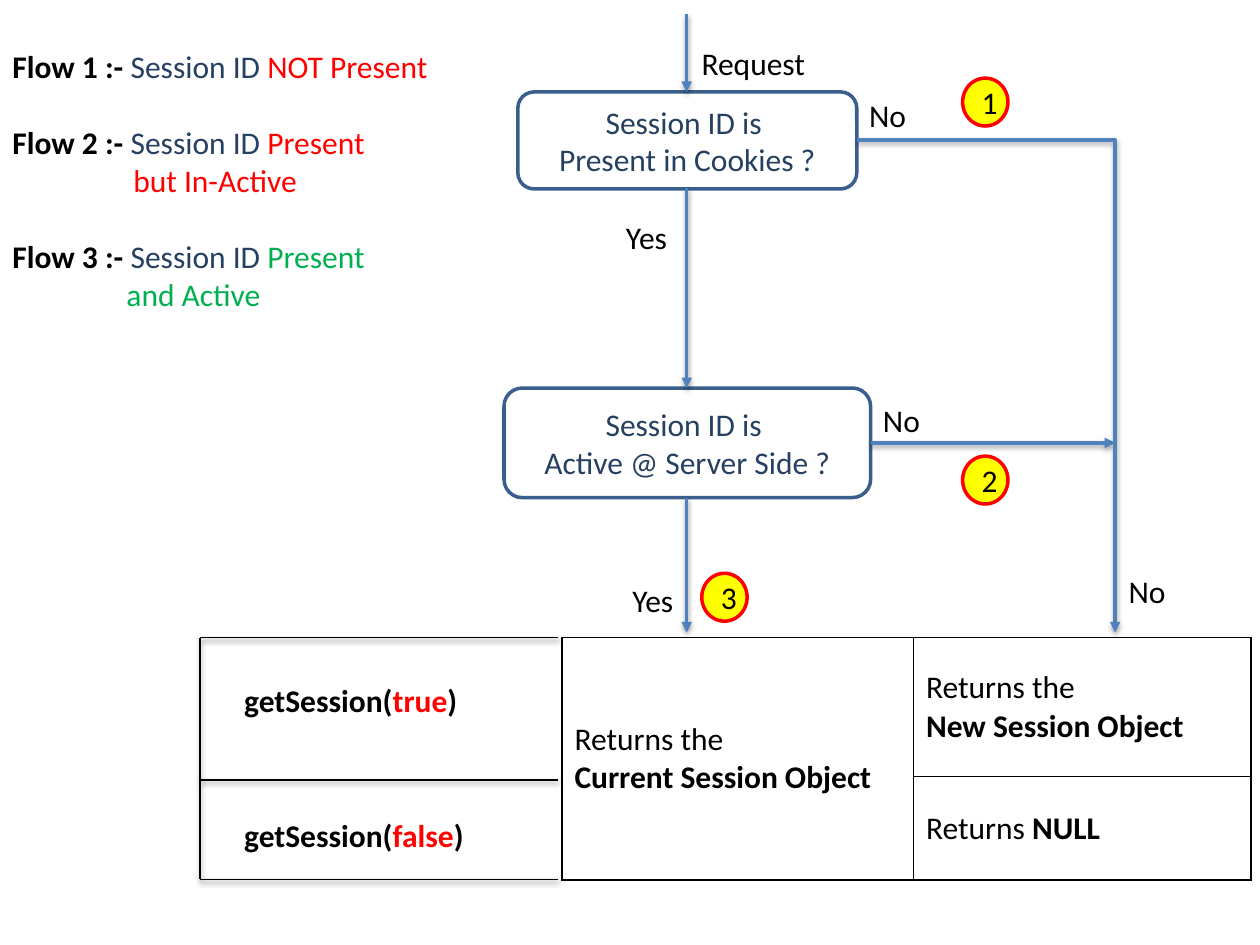
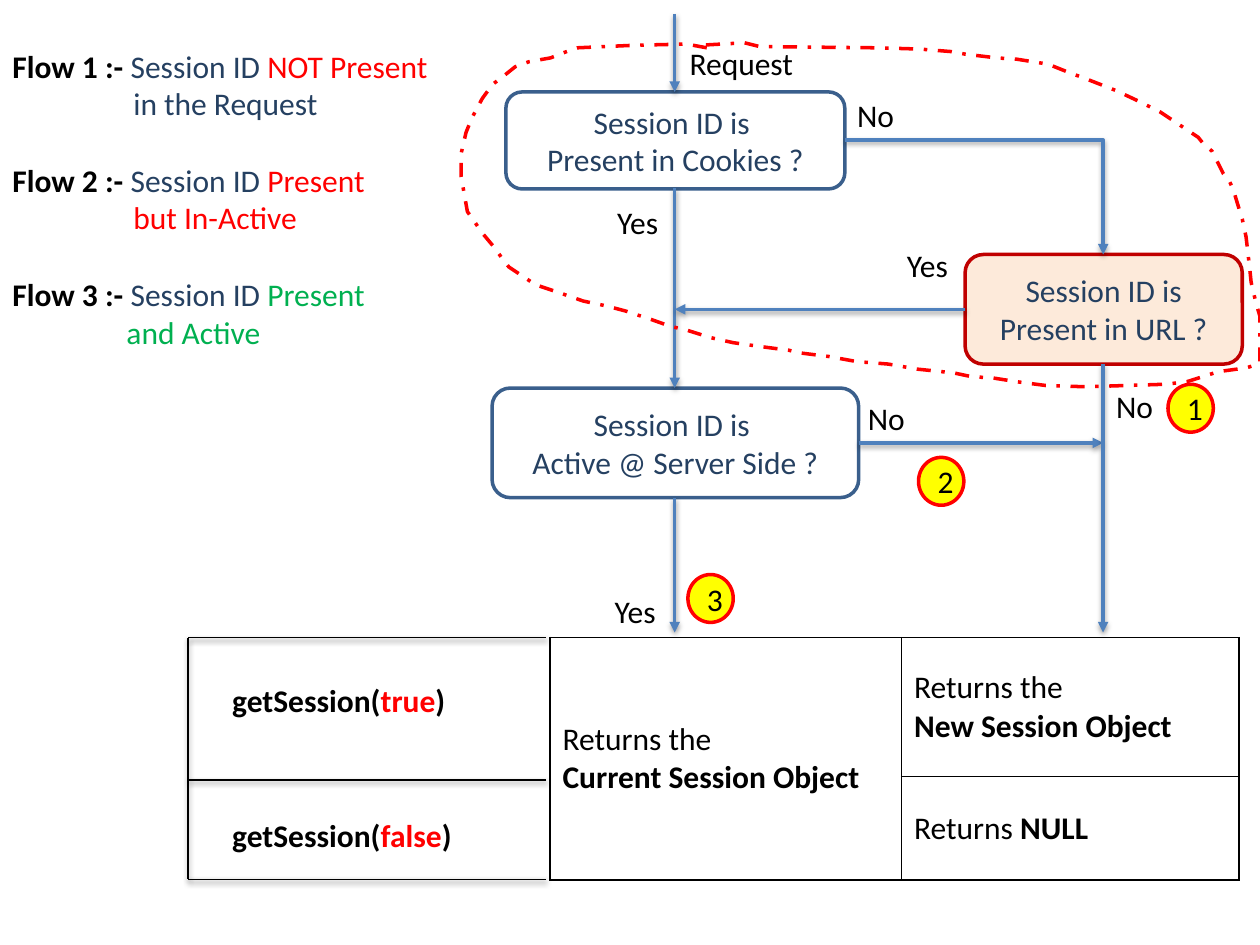
from typing import NamedTuple

from lxml import etree
from pptx import Presentation
from pptx.dml.color import RGBColor
from pptx.enum.dml import MSO_LINE
from pptx.enum.shapes import MSO_CONNECTOR, MSO_SHAPE
from pptx.enum.text import MSO_ANCHOR, MSO_AUTO_SIZE, PP_ALIGN
from pptx.oxml.ns import qn
from pptx.util import Emu, Inches, Pt

# Colours
BLACK = RGBColor(0x00, 0x00, 0x00)
NAVY = RGBColor(0x25, 0x40, 0x61)
RED = RGBColor(0xFF, 0x00, 0x00)
GREEN = RGBColor(0x00, 0xB0, 0x50)
YELLOW = RGBColor(0xFF, 0xFF, 0x00)
ARROW_BLUE = RGBColor(0x4F, 0x81, 0xBD)
BOX_BLUE = RGBColor(0x3A, 0x5F, 0x8C)
DARK_RED = RGBColor(0xC0, 0x00, 0x00)
PEACH = RGBColor(0xFD, 0xEA, 0xDA)

# Enum members
ROUNDED, CIRCLE = MSO_SHAPE.ROUNDED_RECTANGLE, MSO_SHAPE.FLOWCHART_CONNECTOR
STRAIGHT, ELBOW = MSO_CONNECTOR.STRAIGHT, MSO_CONNECTOR.ELBOW
LEFT, CENTER, MIDDLE = PP_ALIGN.LEFT, PP_ALIGN.CENTER, MSO_ANCHOR.MIDDLE
FIT, DASH_DOT = MSO_AUTO_SIZE.SHAPE_TO_FIT_TEXT, MSO_LINE.DASH_DOT

# Grid: 100 columns by 75 rows
WIDTH, HEIGHT = Inches(10), Inches(7.5)
COL, ROW = WIDTH / 100, HEIGHT / 75
FONT, SIZE, LINE_GAP = "Calibri", Pt(18), Pt(22)
LABEL_WIDTHS = {"Request": 10.3, "Yes": 5.3, "No": 5}
LABEL_ROWS = 4

# Columns and rows of the flow chart
MAIN_X, SIDE_X = 54.5, 88.5
COOKIE_TOP, COOKIE_BOTTOM, COOKIE_MID = 7.3, 14.95, 11.1
ACTIVE_TOP, ACTIVE_BOTTOM, ACTIVE_MID = 30.8, 39.5, 35.15
ARROW_END = 50.2
RULE_LEFT, RULE_RIGHT = 15.9, 44.3
RULE_ROWS = (50.6, 61.9, 69.8)


class Run(NamedTuple):
    text: str
    color: RGBColor = BLACK
    bold: bool = False


class Para(NamedTuple):
    runs: list[Run]
    indent: float = 0
    gap: bool = False


class Box(NamedTuple):
    x: float
    y: float
    w: float
    h: float
    lines: list[str]
    line: RGBColor = BOX_BLUE
    fill: RGBColor | None = None


class Label(NamedTuple):
    x: float
    y: float
    text: str


class Arrow(NamedTuple):
    x1: float
    y1: float
    x2: float
    y2: float
    bent: bool = False


class Flow(NamedTuple):
    shift: float
    boxes: list[Box]
    arrows: list[Arrow]
    labels: list[Label]
    badges: list[Label]
    legend: list[Para]


def cols(n: float) -> Emu:
    return Emu(round(n * COL))


def rows(n: float) -> Emu:
    return Emu(round(n * ROW))


def write(tf, paras: list[Para], align=LEFT) -> None:
    for i, para in enumerate(paras):
        p = tf.paragraphs[0] if i == 0 else tf.add_paragraph()
        p.alignment = align
        if para.indent:
            p._p.get_or_add_pPr().set("marL", str(cols(para.indent)))
        if para.gap:
            p.space_before = LINE_GAP
        for run in para.runs:
            r = p.add_run()
            r.text = run.text
            r.font.name, r.font.size = FONT, SIZE
            r.font.bold, r.font.color.rgb = run.bold, run.color


def add_text(s, x: float, y: float, w: float, h: float,
             paras: list[Para], wrap: bool = False) -> None:
    tf = s.shapes.add_textbox(cols(x), rows(y), cols(w), rows(h)).text_frame
    tf.word_wrap, tf.auto_size = wrap, FIT
    write(tf, paras)


def add_label(s, label: Label) -> None:
    add_text(s, label.x, label.y, LABEL_WIDTHS[label.text], LABEL_ROWS,
             [Para([Run(label.text)])])


def add_node(s, kind, box: Box, color: RGBColor) -> None:
    sp = s.shapes.add_shape(kind, cols(box.x), rows(box.y), cols(box.w), rows(box.h))
    sp.shadow.inherit = False
    if box.fill is None:
        sp.fill.background()
    else:
        sp.fill.solid()
        sp.fill.fore_color.rgb = box.fill
    sp.line.color.rgb, sp.line.width = box.line, Pt(2)
    sp.text_frame.vertical_anchor = MIDDLE
    write(sp.text_frame, [Para([Run(t, color)]) for t in box.lines], CENTER)


def add_badge(s, badge: Label) -> None:
    add_node(s, CIRCLE, Box(badge.x, badge.y, 3.6, 3.8, [badge.text], RED, YELLOW), BLACK)


def add_line(s, a: Arrow, color: RGBColor, width: float, head: bool) -> None:
    c = s.shapes.add_connector(ELBOW if a.bent else STRAIGHT,
                               cols(a.x1), rows(a.y1), cols(a.x2), rows(a.y2))
    c.line.color.rgb, c.line.width = color, Pt(width)
    sppr = c._element.spPr
    if a.bent:
        sppr.find(qn("a:prstGeom")).set("prst", "bentConnector2")
    if head:
        etree.SubElement(sppr.find(qn("a:ln")), qn("a:tailEnd"), type="triangle")
    # Soft shadow below the line
    effects = etree.SubElement(sppr, qn("a:effectLst"))
    shadow = etree.SubElement(effects, qn("a:outerShdw"), blurRad=str(Pt(3.1)),
                              dist=str(Pt(1.6)), dir="5400000", rotWithShape="0")
    tint = etree.SubElement(shadow, qn("a:srgbClr"), val=str(BLACK))
    etree.SubElement(tint, qn("a:alpha"), val="38000")


def add_results(s, x: float) -> None:
    tbl = s.shapes.add_table(2, 2, cols(x), rows(RULE_ROWS[0]), cols(54.6), rows(19.3)).table
    tbl.first_row = tbl.horz_banding = False
    tbl.columns[0].width, tbl.columns[1].width = cols(27.9), cols(26.8)
    tbl.rows[0].height, tbl.rows[1].height = rows(11.05), rows(8.2)
    tbl.cell(0, 0).merge(tbl.cell(1, 0))
    for cell in tbl.iter_cells():
        for side in ("lnL", "lnR", "lnT", "lnB"):
            ln = etree.SubElement(cell._tc.get_or_add_tcPr(), qn(f"a:{side}"), w=str(Pt(1)))
            fill = etree.SubElement(ln, qn("a:solidFill"))
            etree.SubElement(fill, qn("a:srgbClr"), val=str(BLACK))
        cell.fill.background()
        cell.vertical_anchor = MIDDLE
    intro = Para([Run("Returns the")])
    write(tbl.cell(0, 0).text_frame, [intro, Para([Run("Current Session Object", bold=True)])])
    write(tbl.cell(0, 1).text_frame, [intro, Para([Run("New Session Object", bold=True)])])
    write(tbl.cell(1, 1).text_frame, [Para([Run("Returns "), Run("NULL", bold=True)])])


def add_calls(s, dx: float) -> None:
    left, right = RULE_LEFT + dx, RULE_RIGHT + dx
    rules = [Arrow(left, y, right, y) for y in RULE_ROWS]
    rules.append(Arrow(left, RULE_ROWS[0], left, RULE_ROWS[-1]))
    for rule in rules:
        add_line(s, rule, BLACK, 1, head=False)
    for y, w, value in ((53.6, 22.3, "true"), (64.3, 19.6, "false")):
        runs = [Run("getSession(", bold=True), Run(value, RED, True), Run(")", bold=True)]
        add_text(s, 18.4 + dx, y, w, LABEL_ROWS, [Para(runs)])


def flow_line(number: int, state: str, color: RGBColor) -> Para:
    return Para([Run(f"Flow {number} :- ", bold=True), Run("Session ID ", NAVY),
                 Run(state, color)], gap=number > 1)


def add_outline(s) -> None:
    fb = s.shapes.build_freeform(*OUTLINE[0], scale=COL / 10)
    fb.add_line_segments(OUTLINE[1:], close=False)
    sp = fb.convert_to_shape()
    sp.shadow.inherit = False
    sp.fill.background()
    sp.line.color.rgb, sp.line.width = RED, Pt(2)
    sp.line.dash_style = DASH_DOT


def draw_flow(s, flow: Flow) -> None:
    dx = flow.shift
    # Decisions
    for box in SHARED_BOXES:
        add_node(s, ROUNDED, box._replace(x=box.x + dx), NAVY)
    for box in flow.boxes:
        add_node(s, ROUNDED, box, NAVY)
    # Results
    add_results(s, 44.6 + dx)
    add_calls(s, dx)
    # Arrows
    for a in SHARED_ARROWS + flow.arrows:
        add_line(s, a._replace(x1=a.x1 + dx, x2=a.x2 + dx), ARROW_BLUE, 2, head=True)
    # Labels, legend and flow numbers
    for label in SHARED_LABELS:
        add_label(s, label._replace(x=label.x + dx))
    for label in flow.labels:
        add_label(s, label)
    add_text(s, 0, 3.2, 36.1, 22.2, flow.legend, wrap=True)
    for badge in flow.badges:
        add_badge(s, badge)


# Content of both slides
SHARED_BOXES = [
    Box(41.1, COOKIE_TOP, 26.9, 7.7, ["Session ID is ", "Present in Cookies ?"]),
    Box(40, ACTIVE_TOP, 29.1, 8.7, ["Session ID is ", "Active @ Server Side ?"]),
]
SHARED_ARROWS = [
    Arrow(MAIN_X, 1.1, MAIN_X, COOKIE_TOP),
    Arrow(MAIN_X, COOKIE_BOTTOM, MAIN_X, ACTIVE_TOP),
    Arrow(MAIN_X, ACTIVE_BOTTOM, MAIN_X, ARROW_END),
    Arrow(69.1, ACTIVE_MID, SIDE_X, ACTIVE_MID),
]
SHARED_LABELS = [Label(54.7, 3, "Request"), Label(68, 7.1, "No")]
FLOW_1 = flow_line(1, "NOT Present", RED)
LATER_FLOWS = [
    flow_line(2, "Present", RED), Para([Run("but In-Active", RED)], indent=9.6),
    flow_line(3, "Present", GREEN), Para([Run("and Active", GREEN)], indent=9.05),
]
COOKIES_ONLY = Flow(
    0, [],
    [Arrow(68, COOKIE_MID, SIDE_X, ARROW_END, bent=True)],
    [Label(48.7, 16.8, "Yes"), Label(49.2, 45.6, "Yes"),
     Label(88.6, 44.9, "No"), Label(69.1, 31.3, "No")],
    [Label(76.4, 6.2, "1"), Label(76.4, 36.2, "2"), Label(55.7, 45.5, "3")],
    [FLOW_1, *LATER_FLOWS])
WITH_URL = Flow(
    -0.95,
    [Box(76.6, 20.2, 22, 8.7, ["Session ID is Present in URL ?"], DARK_RED, PEACH)],
    [Arrow(68, COOKIE_MID, SIDE_X, 20.2, bent=True),
     Arrow(77.55, 24.55, MAIN_X, 24.55),
     Arrow(SIDE_X, 28.9, SIDE_X, ARROW_END)],
    [Label(48, 15.6, "Yes"), Label(47.8, 46.5, "Yes"), Label(71, 19, "Yes"),
     Label(87.6, 30.2, "No"), Label(67.9, 31.2, "No")],
    [Label(92.7, 30.5, "1"), Label(72.9, 36.3, "2"), Label(54.6, 45.6, "3")],
    [FLOW_1, Para([Run("in the Request", NAVY)], indent=9.6), *LATER_FLOWS])

# Hand-drawn loop around the cookie and URL checks, in tenths of a column
OUTLINE = [
    (561, 38), (545, 35), (503, 36), (458, 38), (447, 42), (437, 46), (420, 49),
    (409, 53), (399, 61), (391, 67), (383, 78), (378, 87), (374, 95), (370, 105),
    (366, 122), (366, 140), (371, 168), (376, 175), (382, 184), (392, 196),
    (400, 207), (404, 212), (416, 220), (425, 226), (443, 232), (463, 239),
    (482, 243), (497, 247), (518, 254), (532, 259), (545, 262), (564, 268),
    (582, 272), (603, 275), (626, 278), (634, 280), (658, 283), (680, 287),
    (705, 289), (728, 293), (757, 296), (771, 299), (788, 300), (807, 303),
    (830, 306), (862, 307), (925, 305), (942, 303), (967, 295), (989, 292),
    (999, 289), (1000, 287), (1000, 251), (997, 241), (993, 224), (992, 214),
    (989, 188), (986, 174), (982, 161), (979, 151), (975, 142), (971, 138),
    (966, 128), (962, 120), (955, 114), (951, 109), (930, 95), (921, 89),
    (903, 80), (886, 72), (863, 63), (847, 57), (832, 51), (807, 47), (791, 46),
    (766, 43), (755, 41), (730, 39), (697, 38), (603, 37), (591, 34), (573, 35),
    (555, 36),
]


def main() -> None:
    prs = Presentation()
    prs.slide_width, prs.slide_height = WIDTH, HEIGHT
    for flow in (COOKIES_ONLY, WITH_URL):
        s = prs.slides.add_slide(prs.slide_layouts[6])
        draw_flow(s, flow)
    add_outline(s)
    prs.save("out.pptx")


if __name__ == "__main__":
    main()
